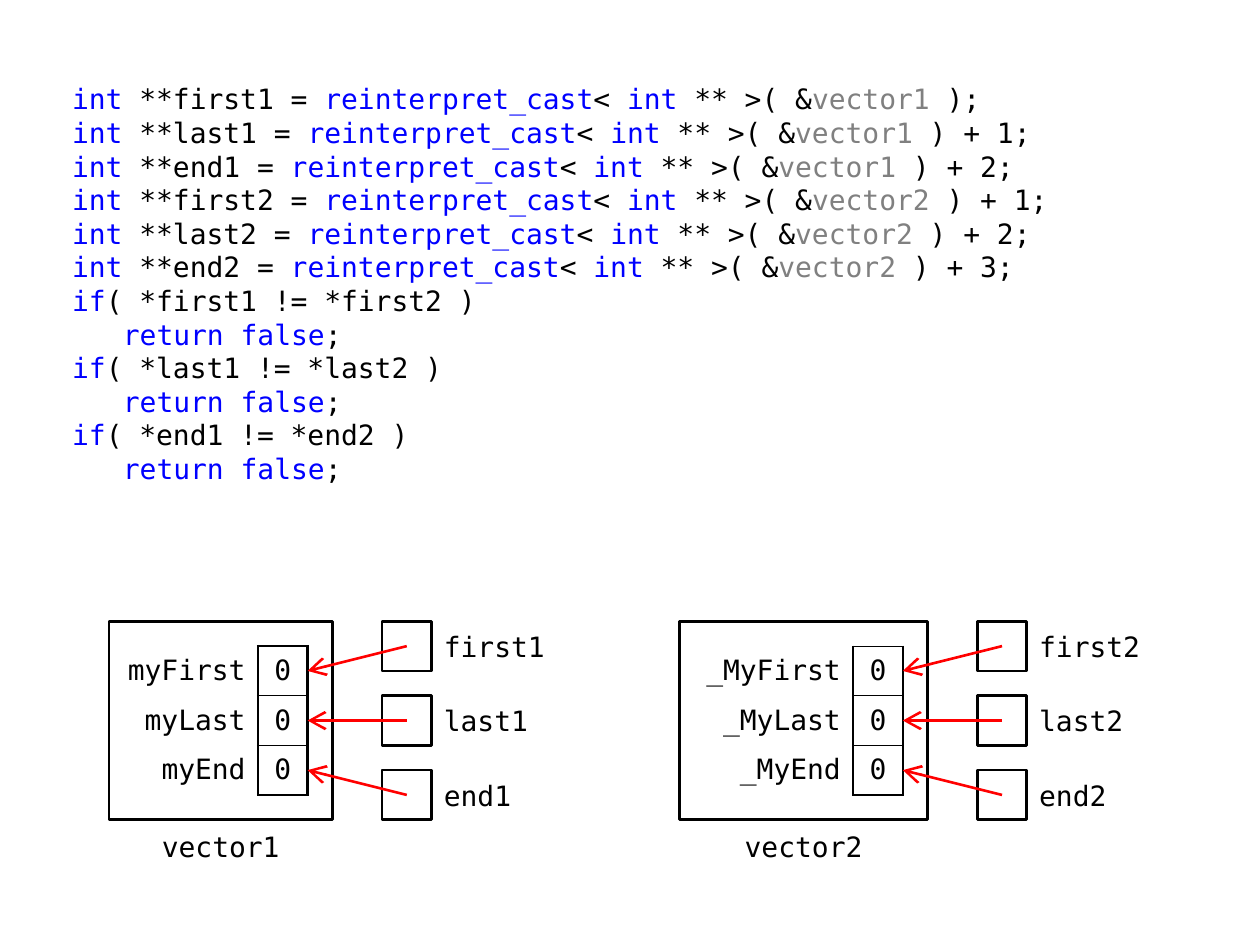
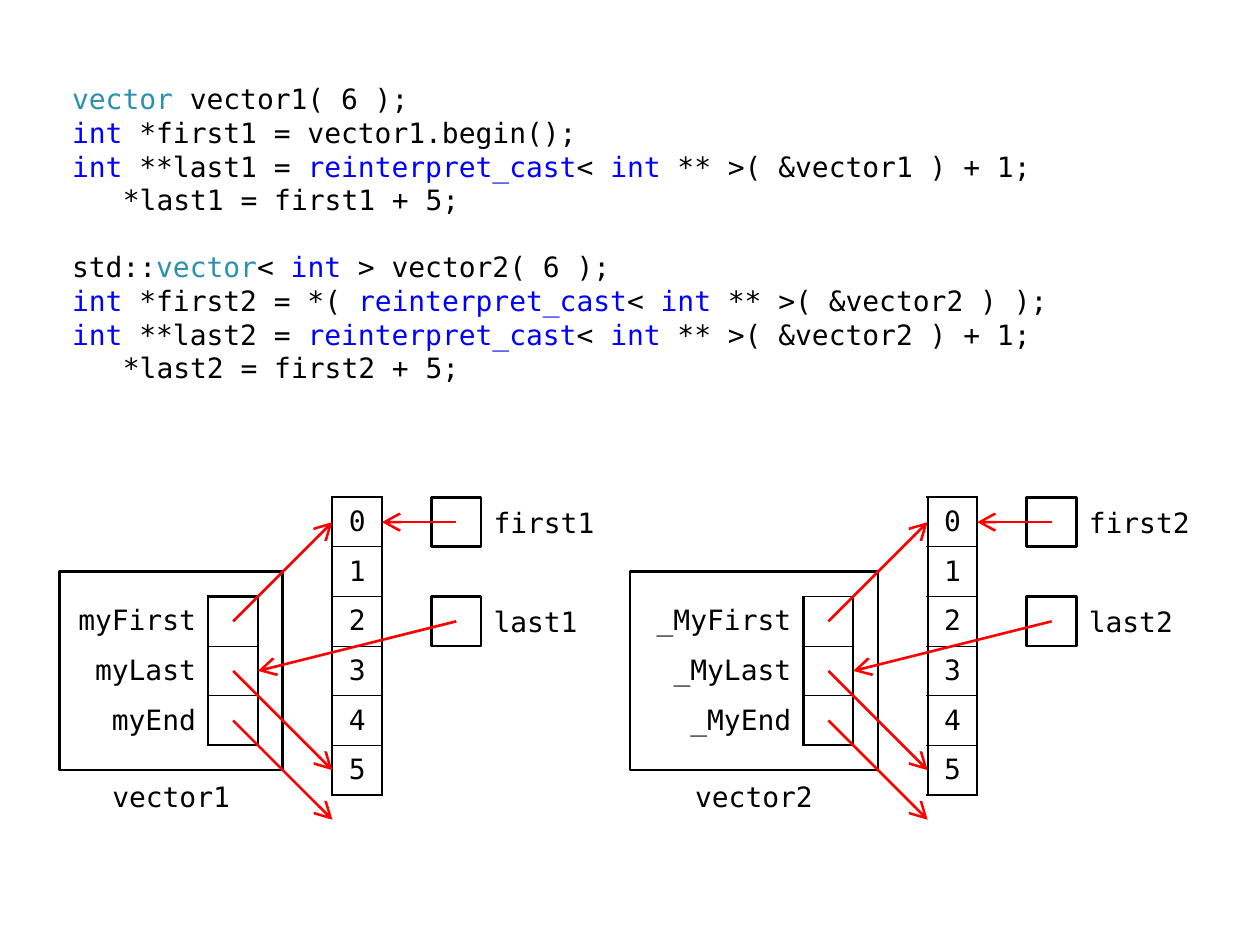
from collections import namedtuple
from itertools import groupby

from pptx import Presentation
from pptx.dml.color import RGBColor
from pptx.enum.shapes import MSO_CONNECTOR, MSO_SHAPE
from pptx.enum.text import MSO_ANCHOR, MSO_AUTO_SIZE, PP_ALIGN
from pptx.oxml.ns import qn
from pptx.util import Emu, Pt
from lxml.etree import SubElement

BLACK = RGBColor(0x00, 0x00, 0x00)
WHITE = RGBColor(0xFF, 0xFF, 0xFF)
RED = RGBColor(0xFF, 0x00, 0x00)
BLUE = RGBColor(0x00, 0x00, 0xFF)
TEAL = RGBColor(0x2B, 0x91, 0xAF)
GRAY = RGBColor(0x80, 0x80, 0x80)

EMU_PER_PX = 9000
CELL = 40
HALF = CELL // 2
THICK, THIN = 1.5, 0.75
CODE_LEFT, CODE_TOP = 48, 61
CODE_INDENT = 41
VARIABLE_LABEL_WIDTH = 110
LINE_PITCH = Pt(19.2)

KEYWORDS = dict.fromkeys(["int", "reinterpret_cast", "if", "return", "false"], BLUE)

Vector = namedtuple("Vector", "name left width members variables top_border caption_inset")

FIRST_VECTOR = Vector("vector1", 88, 180, ["myFirst", "myLast", "myEnd"],
                      ["first1", "last1", "end1"], THICK, 20)
SECOND_VECTOR = Vector("vector2", 548, 200, ["_MyFirst", "_MyLast", "_MyEnd"],
                       ["first2", "last2", "end2"], THIN, 40)
VECTORS = [FIRST_VECTOR, SECOND_VECTOR]

COMPARE_CODE = """\
int **first1 = reinterpret_cast< int ** >( &vector1 );
int **last1 = reinterpret_cast< int ** >( &vector1 ) + 1;
int **end1 = reinterpret_cast< int ** >( &vector1 ) + 2;
int **first2 = reinterpret_cast< int ** >( &vector2 ) + 1;
int **last2 = reinterpret_cast< int ** >( &vector2 ) + 2;
int **end2 = reinterpret_cast< int ** >( &vector2 ) + 3;
if( *first1 != *first2 )
   return false;
if( *last1 != *last2 )
   return false;
if( *end1 != *end2 )
   return false;"""

RESIZE_CODE = """\
vector vector1( 6 );
int *first1 = vector1.begin();
int **last1 = reinterpret_cast< int ** >( &vector1 ) + 1;
   *last1 = first1 + 5;

std::vector< int > vector2( 6 );
int *first2 = *( reinterpret_cast< int ** >( &vector2 ) );
int **last2 = reinterpret_cast< int ** >( &vector2 ) + 1;
   *last2 = first2 + 5;"""


def px(length):
    return Emu(length * EMU_PER_PX)


def is_word(letter):
    return letter.isalnum() or letter == "_"


class DiagramDeck:
    font_name = "DejaVu Sans Mono"
    font_size = Pt(16)

    def __init__(self):
        self.deck = Presentation()
        self.deck.slide_width, self.deck.slide_height = px(1016), px(762)
        self.page = None

    def add_page(self):
        self.page = self.deck.slides.add_slide(self.deck.slide_layouts[1])
        title = self.page.shapes.title._element
        title.getparent().remove(title)

    def style(self, span, color=BLACK):
        span.font.name = self.font_name
        span.font.size = self.font_size
        span.font.color.rgb = color

    def fill_text(self, frame, text, align):
        frame.text = text
        para = frame.paragraphs[0]
        para.alignment = align
        for span in para.runs:
            self.style(span)

    def code(self, source, width, height, colors):
        box = self.page.placeholders[1]
        box.left, box.top = px(CODE_LEFT), px(CODE_TOP)
        box.width, box.height = px(width), px(height)
        frame = box.text_frame
        frame.auto_size = MSO_AUTO_SIZE.NONE
        frame.vertical_anchor = MSO_ANCHOR.TOP
        para, gap = frame.paragraphs[0], Pt(0)
        for line in source.splitlines():
            if not line:
                gap = LINE_PITCH
                continue
            if para.runs:
                para = frame.add_paragraph()
            self.code_line(para, line, colors)
            para.space_before, gap = gap, Pt(0)

    def code_line(self, para, line, colors):
        para.line_spacing = LINE_PITCH
        properties = para._p.get_or_add_pPr()
        properties.set("marL", str(px(CODE_INDENT if line.startswith(" ") else 0)))
        properties.set("indent", "0")
        tokens = ["".join(letters) for _, letters in groupby(line.strip(), is_word)]
        for color, group in groupby(tokens, lambda token: colors.get(token, BLACK)):
            span = para.add_run()
            span.text = "".join(group)
            self.style(span, color)
        SubElement(properties, qn("a:buNone"))

    def rectangle(self, left, top, width, height, fill=None):
        box = self.page.shapes.add_shape(MSO_SHAPE.RECTANGLE, px(left), px(top),
                                         px(width), px(height))
        box.shadow.inherit = False
        if fill is None:
            box.fill.background()
        else:
            box.fill.solid()
            box.fill.fore_color.rgb = fill
        box.line.color.rgb = BLACK
        box.line.width = Pt(THICK)

    def label(self, text, left, top, width, align=PP_ALIGN.LEFT, anchor=MSO_ANCHOR.MIDDLE):
        box = self.page.shapes.add_textbox(px(left), px(top), px(width), px(CELL))
        box.text_frame.word_wrap = False
        box.text_frame.vertical_anchor = anchor
        self.fill_text(box.text_frame, text, align)

    def arrow(self, start, end):
        line = self.page.shapes.add_connector(MSO_CONNECTOR.STRAIGHT,
                                              *map(px, start), *map(px, end))
        line.line.color.rgb = RED
        line.line.width = Pt(THICK)
        properties = line._element.spPr
        SubElement(properties.find(qn("a:ln")), qn("a:tailEnd"),
                   type="arrow", w="lg", len="lg")
        SubElement(properties, qn("a:effectLst"))

    def borders(self, cell, **widths):
        properties = cell._tc.get_or_add_tcPr()
        for side in "LRTB":
            width = widths.get(side, 0)
            line = SubElement(properties, qn("a:ln" + side), w=str(Pt(width)))
            if width:
                paint = SubElement(line, qn("a:solidFill"))
                SubElement(paint, qn("a:srgbClr"), val=str(BLACK))
            else:
                SubElement(line, qn("a:noFill"))

    def cell(self, cell, text, align, left, right):
        cell.margin_left, cell.margin_right = px(left), px(right)
        cell.margin_top = cell.margin_bottom = px(4)
        cell.vertical_anchor = MSO_ANCHOR.MIDDLE
        cell.fill.background()
        self.fill_text(cell.text_frame, text, align)

    def table(self, left, top, values, names=(), name_width=0, top_border=THICK):
        widths = [name_width, CELL] if names else [CELL]
        grid = self.page.shapes.add_table(len(values), len(widths), px(left), px(top),
                                          px(sum(widths)), px(CELL * len(values))).table
        grid.first_row = grid.horz_banding = False
        for column, width in zip(grid.columns, widths):
            column.width = px(width)
        last = len(values) - 1
        for row, value in enumerate(values):
            grid.rows[row].height = px(CELL)
            if names:
                name_cell = grid.cell(row, 0)
                self.borders(name_cell, R=THICK)
                self.cell(name_cell, names[row], PP_ALIGN.RIGHT, 4, 10)
            value_cell = grid.cell(row, len(widths) - 1)
            self.borders(value_cell, L=THICK, R=THICK,
                         T=THIN if row else top_border,
                         B=THICK if row == last else THIN)
            self.cell(value_cell, value, PP_ALIGN.CENTER, 8, 8)

    def vector(self, vector, top, values):
        self.rectangle(vector.left, top, vector.width, 4 * CELL, WHITE)
        self.table(vector.left, top + HALF, values, vector.members,
                   vector.width - HALF - CELL, vector.top_border)
        self.label(vector.name, vector.left + vector.caption_inset, top + 4 * CELL,
                   vector.width - 2 * vector.caption_inset, PP_ALIGN.CENTER, MSO_ANCHOR.BOTTOM)

    def variable(self, name, left, top, target):
        self.label(name, left + CELL, top, VARIABLE_LABEL_WIDTH)
        self.rectangle(left, top, CELL, CELL)
        self.arrow((left + HALF, top + HALF), target)


def add_comparison(diagram):
    top = 501
    diagram.add_page()
    diagram.code(COMPARE_CODE, 820, 340, KEYWORDS | {"vector1": GRAY, "vector2": GRAY})
    for vector in VECTORS:
        right = vector.left + vector.width
        diagram.vector(vector, top, ["0"] * 3)
        for row, name in enumerate(vector.variables):
            diagram.variable(name, right + CELL, top + row * 60,
                             (right - HALF, top + CELL + row * CELL))


def add_resizing(diagram):
    top, elements_top = 461, 401
    diagram.add_page()
    diagram.code(RESIZE_CODE, 920, 260, KEYWORDS | {"vector": TEAL})
    for vector in VECTORS:
        vector = vector._replace(left=vector.left - CELL)
        right = vector.left + vector.width
        elements_left = right + CELL
        diagram.table(elements_left, elements_top, [str(index) for index in range(6)])
        diagram.vector(vector, top, [""] * 3)
        for row, element in enumerate([0, 5, 6]):
            diagram.arrow((right - CELL, top + CELL + row * CELL),
                          (elements_left, elements_top + HALF + element * CELL))
        targets = [(elements_left + CELL, elements_top + HALF),
                   (right - HALF, top + 2 * CELL)]
        for row, (name, target) in enumerate(zip(vector.variables, targets)):
            diagram.variable(name, right + 3 * CELL, elements_top + row * 2 * CELL, target)


def main():
    diagram = DiagramDeck()
    add_comparison(diagram)
    add_resizing(diagram)
    diagram.deck.save("out.pptx")


if __name__ == "__main__":
    main()
